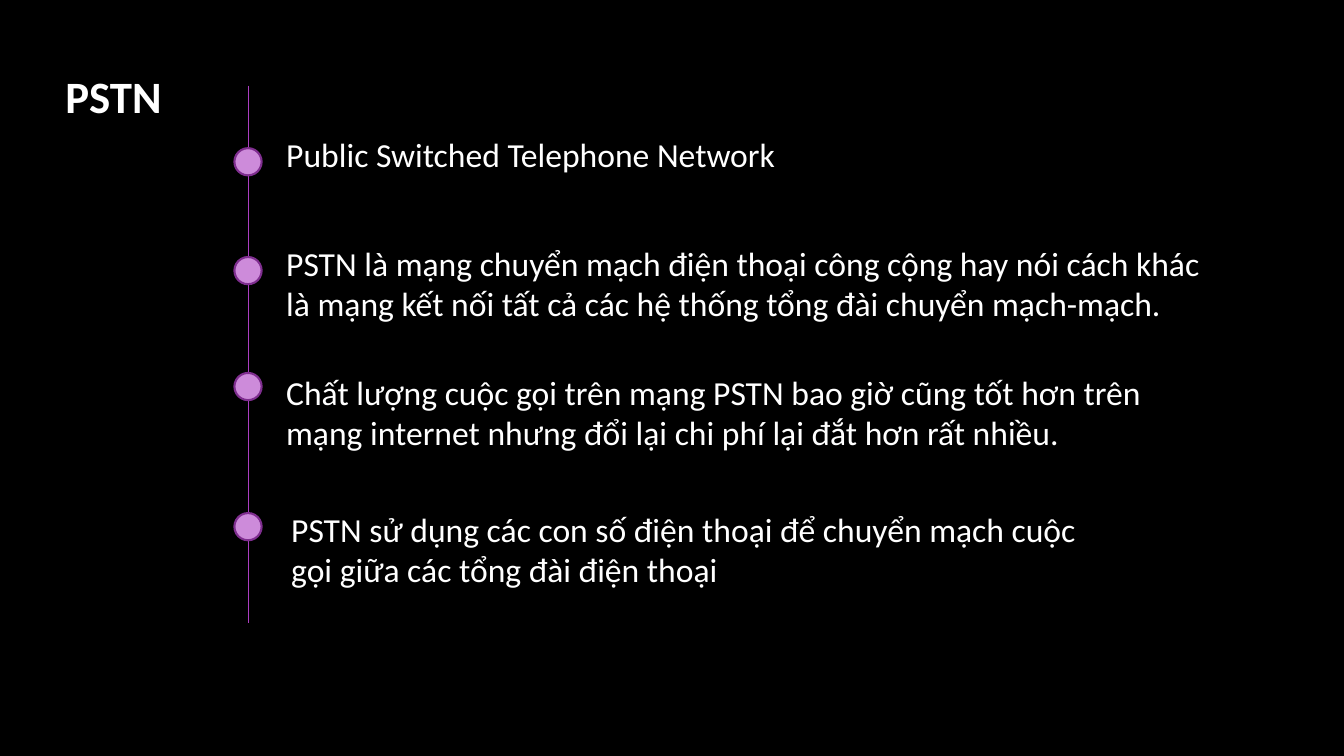
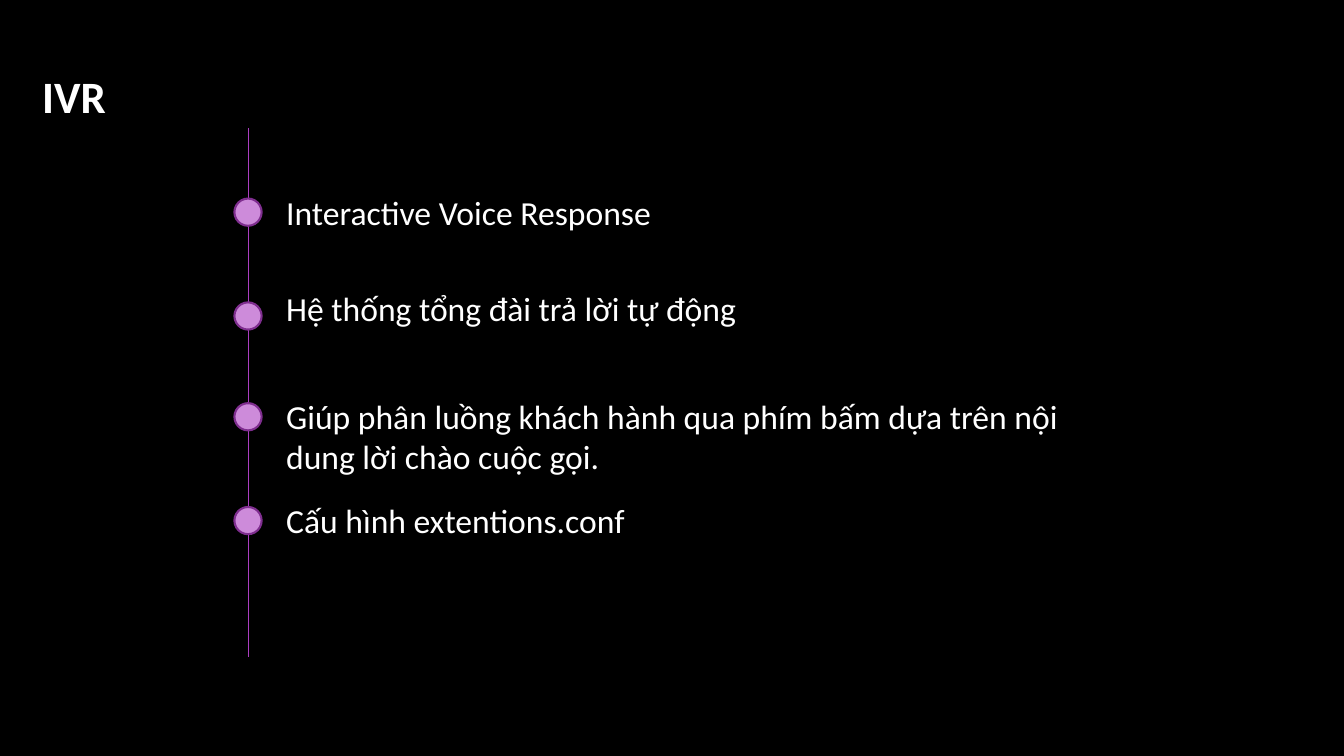
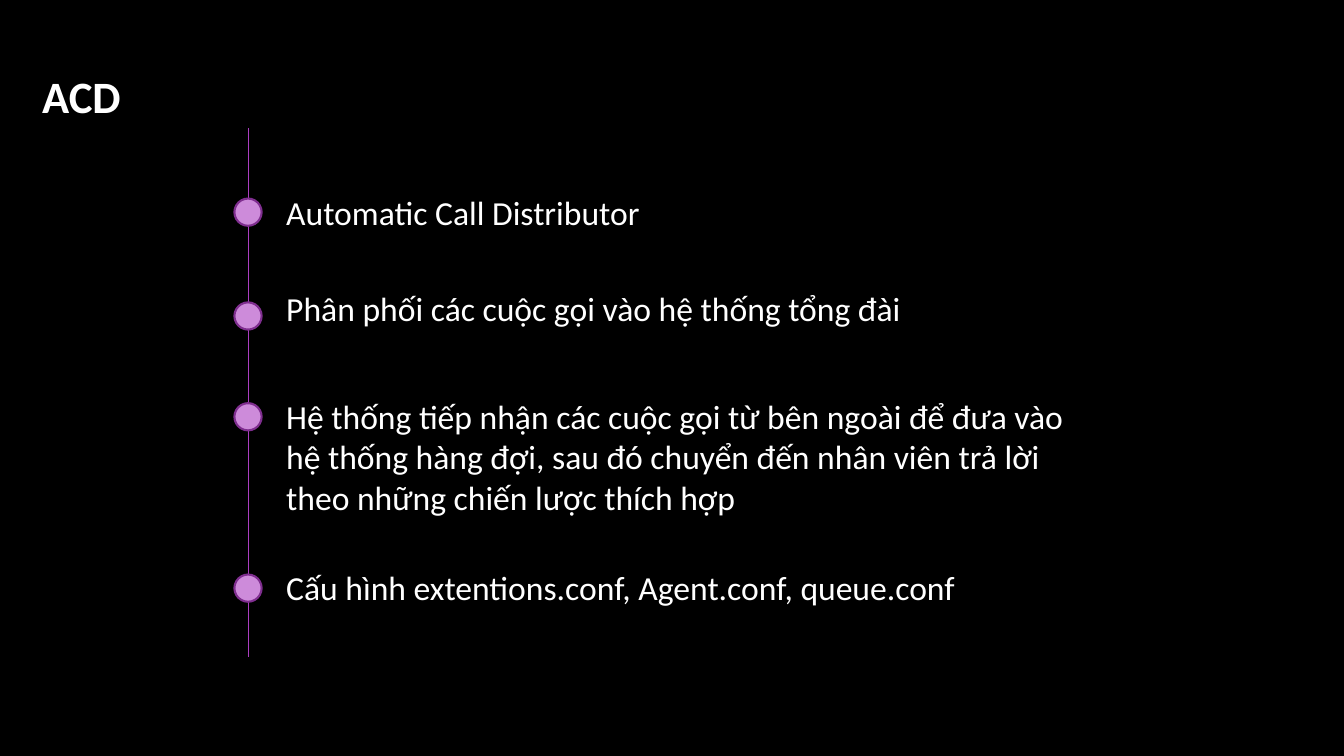
from pptx import Presentation
from pptx.dml.color import RGBColor
from pptx.enum.shapes import MSO_CONNECTOR, MSO_SHAPE
from pptx.enum.text import MSO_AUTO_SIZE
from pptx.oxml.ns import qn
from pptx.util import Inches, Pt
from lxml import etree

STRAIGHT, OVAL = MSO_CONNECTOR.STRAIGHT, MSO_SHAPE.OVAL
FIT_SHAPE = MSO_AUTO_SIZE.SHAPE_TO_FIT_TEXT

BLACK = RGBColor(0x00, 0x00, 0x00)
WHITE = RGBColor(0xFF, 0xFF, 0xFF)
LINE_PURPLE = RGBColor(0xAC, 0x3E, 0xC1)
DOT_FILL = RGBColor(0xCD, 0x8B, 0xDA)
DOT_EDGE = RGBColor(0x7F, 0x2E, 0x8F)
FONT = "Calibri"

# Shared geometry, in inches
TITLE_TOP, TITLE_HEIGHT = 0.63, 0.64
AXIS_X, DOT_SIZE = 2.46, 0.27
TEXT_LEFT, WIDE = 2.74, 9.48
LINE_HEIGHT, PADDING = 0.4, 0.1

# title: (text, left, width); axis: (top, bottom)
# items: (text, lines, dot top, text top, text left, text width)
SLIDES = [
    {
        "title": ("PSTN", 0.55, 1.37),
        "axis": (0.85, 6.18),
        "items": [
            ("Public Switched Telephone Network", 1, 1.47, 1.28, TEXT_LEFT, WIDE),
            ("PSTN là mạng chuyển mạch điện thoại công cộng hay nói cách khác "
             "là mạng kết nối tất cả các hệ thống tổng đài chuyển mạch-mạch.",
             2, 2.55, 2.36, TEXT_LEFT, WIDE),
            ("Chất lượng cuộc gọi trên mạng PSTN bao giờ cũng tốt hơn trên "
             "mạng internet nhưng đổi lại chi phí lại đắt hơn rất nhiều.",
             2, 3.7, 3.64, TEXT_LEFT, 8.9),
            ("PSTN sử dụng các con số điện thoại để chuyển mạch cuộc "
             "gọi giữa các tổng đài điện thoại", 2, 5.09, 5, 2.79, 8.2),
        ],
    },
    {
        "title": ("IVR", 0.32, 2),
        "axis": (1.27, 6.52),
        "items": [
            ("Interactive Voice Response", 1, 1.97, 1.85, TEXT_LEFT, WIDE),
            ("Hệ thống tổng đài trả lời tự động", 1, 3, 2.81, TEXT_LEFT, WIDE),
            ("Giúp phân luồng khách hành qua phím bấm dựa trên nội "
             "dung lời chào cuộc gọi.", 2, 4, 3.88, TEXT_LEFT, 8.13),
            ("Cấu hình extentions.conf", 1, 5.03, 4.91, TEXT_LEFT, 3.59),
        ],
    },
    {
        "title": ("ACD", 0.32, 2),
        "axis": (1.27, 6.52),
        "items": [
            ("Automatic Call Distributor", 1, 1.97, 1.85, TEXT_LEFT, WIDE),
            ("Phân phối các cuộc gọi vào hệ thống tổng đài",
             1, 3, 2.81, TEXT_LEFT, WIDE),
            ("Hệ thống tiếp nhận các cuộc gọi từ bên ngoài để đưa vào "
             "hệ thống hàng đợi, sau đó chuyển đến nhân viên trả lời "
             "theo những chiến lược thích hợp", 3, 4, 3.88, TEXT_LEFT, 8.13),
            ("Cấu hình extentions.conf, Agent.conf, queue.conf",
             1, 5.7, 5.58, TEXT_LEFT, 6.9),
        ],
    },
]


def add_text(s, text, left, top, width, height, size, bold=False):
    box = s.shapes.add_textbox(*map(Inches, (left, top, width, height)))
    tf = box.text_frame
    tf.word_wrap = True
    tf.auto_size = FIT_SHAPE
    tf.text = text
    font = tf.paragraphs[0].runs[0].font
    font.name, font.size, font.bold = FONT, Pt(size), bold
    font.color.rgb = WHITE


def add_axis(s, top, bottom):
    line = s.shapes.add_connector(
        STRAIGHT, *map(Inches, (AXIS_X, top, AXIS_X, bottom)))
    line.line.color.rgb = LINE_PURPLE
    line.line.width = Pt(0.75)
    etree.SubElement(line._element.spPr, qn("a:effectLst"))


def add_dot(s, top):
    left = AXIS_X - DOT_SIZE / 2
    dot = s.shapes.add_shape(
        OVAL, *map(Inches, (left, top, DOT_SIZE, DOT_SIZE)))
    dot.shadow.inherit = False
    dot.fill.solid()
    dot.fill.fore_color.rgb = DOT_FILL
    dot.line.color.rgb = DOT_EDGE
    dot.line.width = Pt(1.5)


def main():
    prs = Presentation()
    prs.slide_width, prs.slide_height = Inches(13.33), Inches(7.5)
    background = prs.slide_master.background.fill
    background.solid()
    background.fore_color.rgb = BLACK

    for content in SLIDES:
        s = prs.slides.add_slide(prs.slide_layouts[6])
        title, left, width = content["title"]
        add_text(s, title, left, TITLE_TOP, width, TITLE_HEIGHT, 32, bold=True)
        add_axis(s, *content["axis"])
        for text, lines, dot_top, top, left, width in content["items"]:
            add_dot(s, dot_top)
            add_text(s, text, left, top, width, PADDING + lines * LINE_HEIGHT, 24)

    prs.save("out.pptx")


if __name__ == "__main__":
    main()
